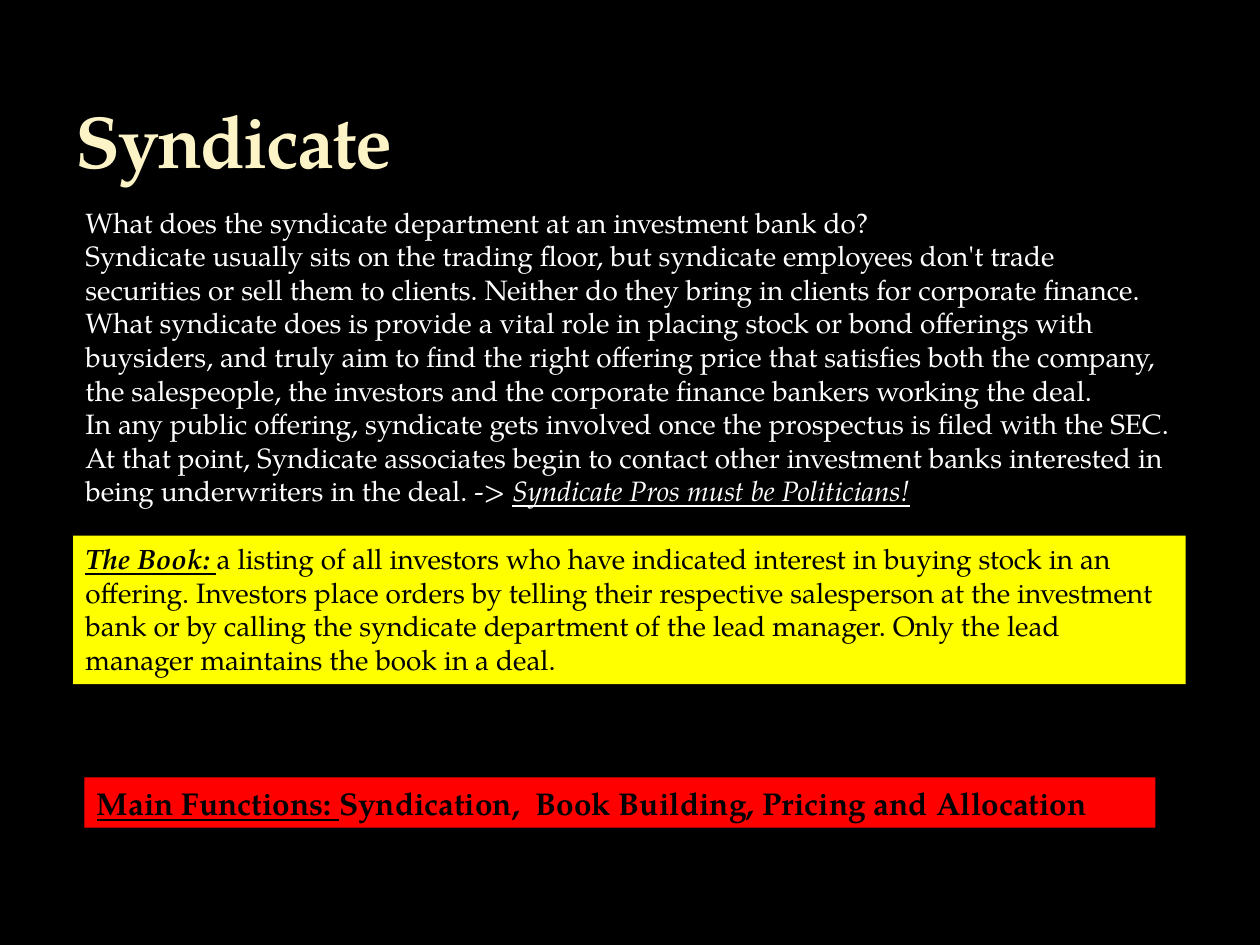
import pptx
import pptx.util
from lxml import etree
from pptx.dml.color import RGBColor
from pptx.enum.shapes import MSO_SHAPE
from pptx.enum.text import MSO_ANCHOR, MSO_AUTO_SIZE, PP_ALIGN
from pptx.oxml.ns import qn
from pptx.util import Inches

BLACK = RGBColor(0x00, 0x00, 0x00)
WHITE = RGBColor(0xFF, 0xFF, 0xFF)
CREAM = RGBColor(0xFC, 0xF4, 0xC7)
YELLOW = RGBColor(0xFF, 0xFF, 0x00)
RED = RGBColor(0xFF, 0x00, 0x00)

INTRO = [
    [("What does the syndicate department at an investment bank do?", "")],
    [("Syndicate usually sits on the trading floor, but syndicate employees "
      "don't trade securities or sell them to clients. Neither do they bring "
      "in clients for corporate finance. What syndicate does is provide a "
      "vital role in placing stock or bond offerings with buysiders, and "
      "truly aim to find the right offering price that satisfies both the "
      "company, the salespeople, the investors and the corporate finance "
      "bankers working the deal.", "")],
    [("In any public offering, syndicate gets involved once the prospectus "
      "is filed with the SEC. At that point, Syndicate associates begin to "
      "contact other investment banks interested in being underwriters in "
      "the deal. -> ", ""),
     ("Syndicate Pros must be Politicians!", "iu")],
]
BOOK = [
    [("The Book: ", "biu"),
     ("a listing of all investors who have indicated interest in buying "
      "stock in an offering. Investors place orders by telling their "
      "respective salesperson at the investment bank or by calling the "
      "syndicate department of the lead manager. Only the lead manager "
      "maintains the book in a deal.", "")],
]
FUNCTIONS = [
    [("Main Functions: ", "bu"),
     ("Syndication,  Book Building, Pricing and Allocation", "b")],
]


class Deck:
    font = "TeX Gyre Pagella"

    def __init__(self, prs):
        self.s = prs.slides.add_slide(prs.slide_layouts[6])
        self.s.background.fill.solid()
        self.s.background.fill.fore_color.rgb = BLACK

    def add_runs(self, sp, paragraphs, size, color):
        """Fill a shape with paragraphs of (text, style letters b, i, u)."""
        tf = sp.text_frame
        tf.word_wrap = True
        tf.auto_size = MSO_AUTO_SIZE.SHAPE_TO_FIT_TEXT
        tf.vertical_anchor = MSO_ANCHOR.TOP
        for i, runs in enumerate(paragraphs):
            p = tf.add_paragraph() if i else tf.paragraphs[0]
            p.alignment = PP_ALIGN.LEFT
            for text, style in runs:
                r = p.add_run()
                r.text = text
                r.font.name = self.font
                r.font.size = pptx.util.Pt(size)
                r.font.color.rgb = color
                r.font.bold = "b" in style
                r.font.italic = "i" in style
                r.font.underline = "u" in style

    def text(self, box, paragraphs, size, color):
        sp = self.s.shapes.add_textbox(*map(Inches, box))
        self.add_runs(sp, paragraphs, size, color)
        return sp

    def title(self, box, text):
        """Bottom-anchored heading with tight spacing and a faint outline."""
        sp = self.text(box, [[(text, "b")]], 42, CREAM)
        tf = sp.text_frame
        tf.auto_size = MSO_AUTO_SIZE.NONE
        tf.vertical_anchor = MSO_ANCHOR.BOTTOM
        rpr = tf.paragraphs[0].runs[0].font._element
        rpr.set("spc", "-100")
        ln = etree.Element(qn("a:ln"), w="3175")
        fill = etree.SubElement(ln, qn("a:solidFill"))
        clr = etree.SubElement(fill, qn("a:srgbClr"), val="343434")
        etree.SubElement(clr, qn("a:alpha"), val="25000")
        rpr.insert(0, ln)

    def banner(self, box, paragraphs, size, fill):
        sp = self.s.shapes.add_shape(MSO_SHAPE.RECTANGLE, *map(Inches, box))
        sp.shadow.inherit = False
        sp.fill.solid()
        sp.fill.fore_color.rgb = fill
        sp.line.fill.background()
        self.add_runs(sp, paragraphs, size, BLACK)


def main():
    prs = pptx.Presentation()
    prs.slide_width, prs.slide_height = Inches(10), Inches(7.5)
    deck = Deck(prs)
    deck.title((0.5, 0.17, 9, 1.33), "Syndicate")
    deck.text((0.58, 1.58, 8.83, 2.52), INTRO, 16, WHITE)
    deck.banner((0.58, 4.25, 8.83, 1.18), BOOK, 16, YELLOW)
    deck.banner((0.67, 6.17, 8.5, 0.4), FUNCTIONS, 18, RED)
    prs.save("out.pptx")


if __name__ == "__main__":
    main()
